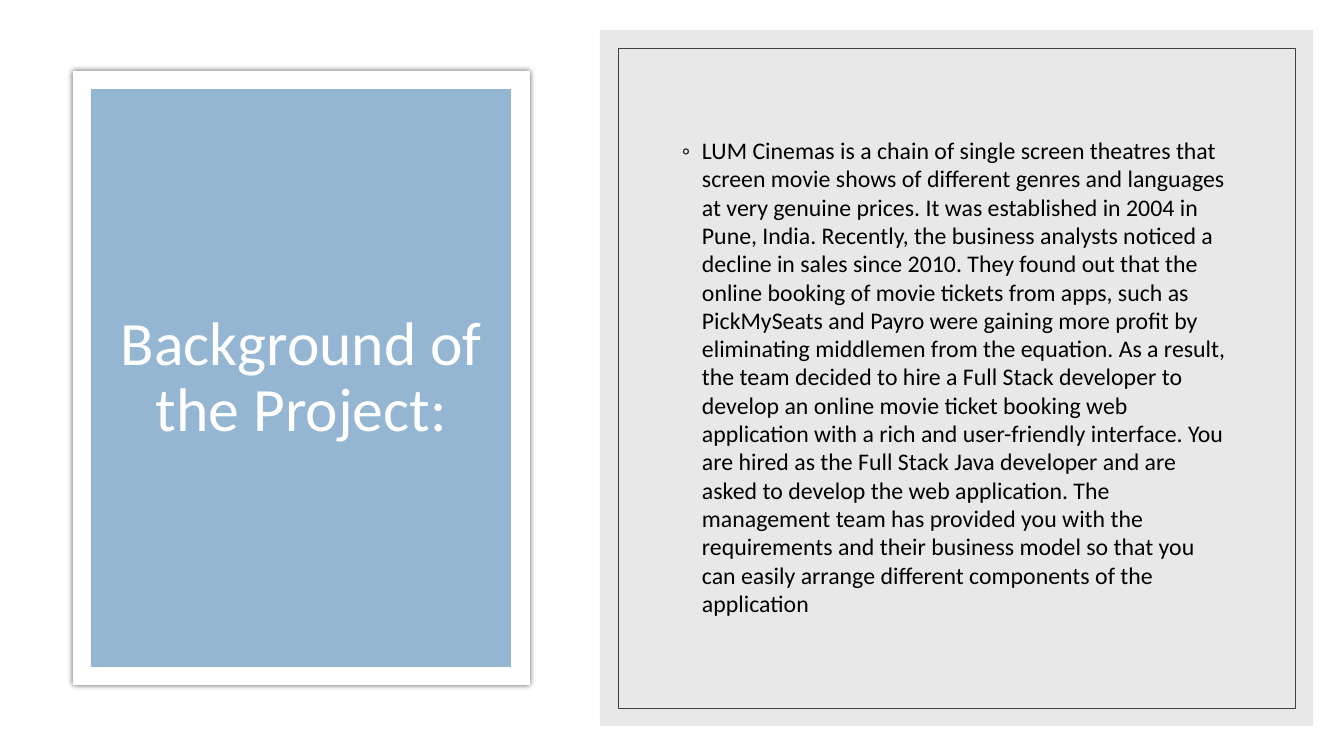
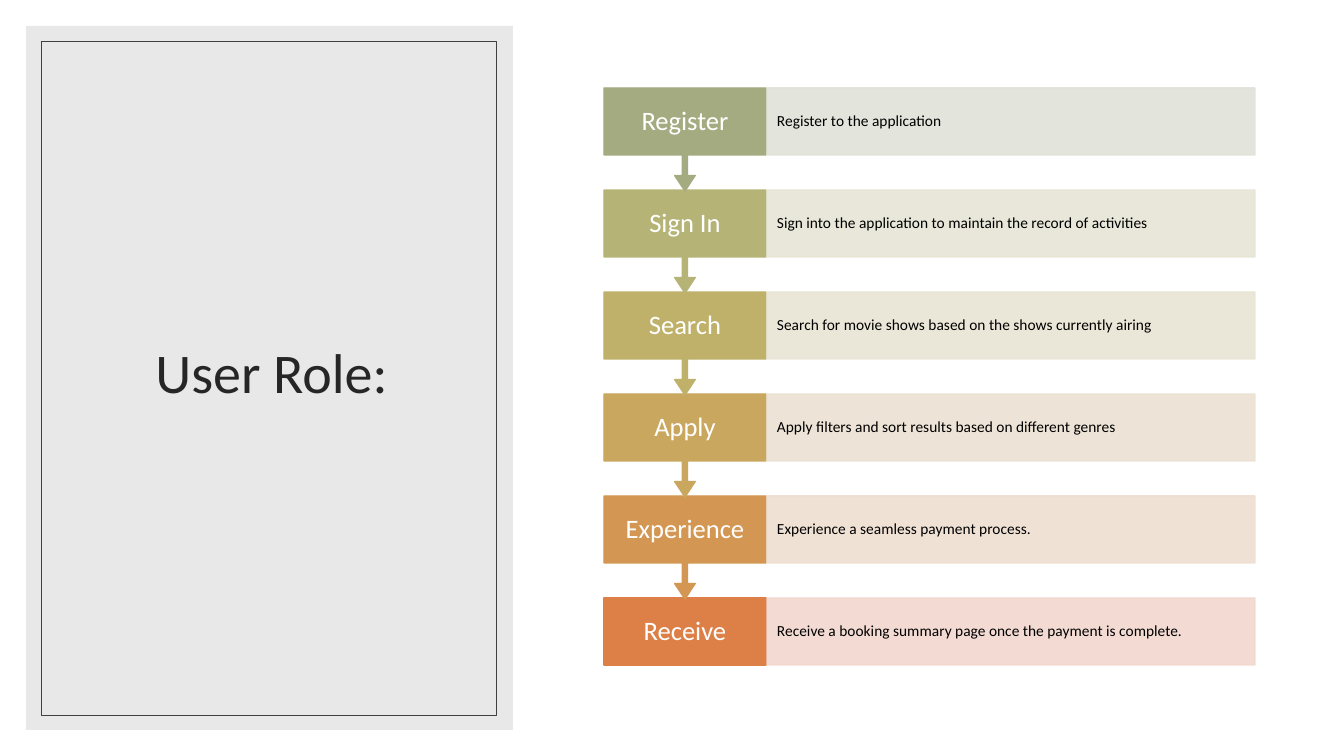
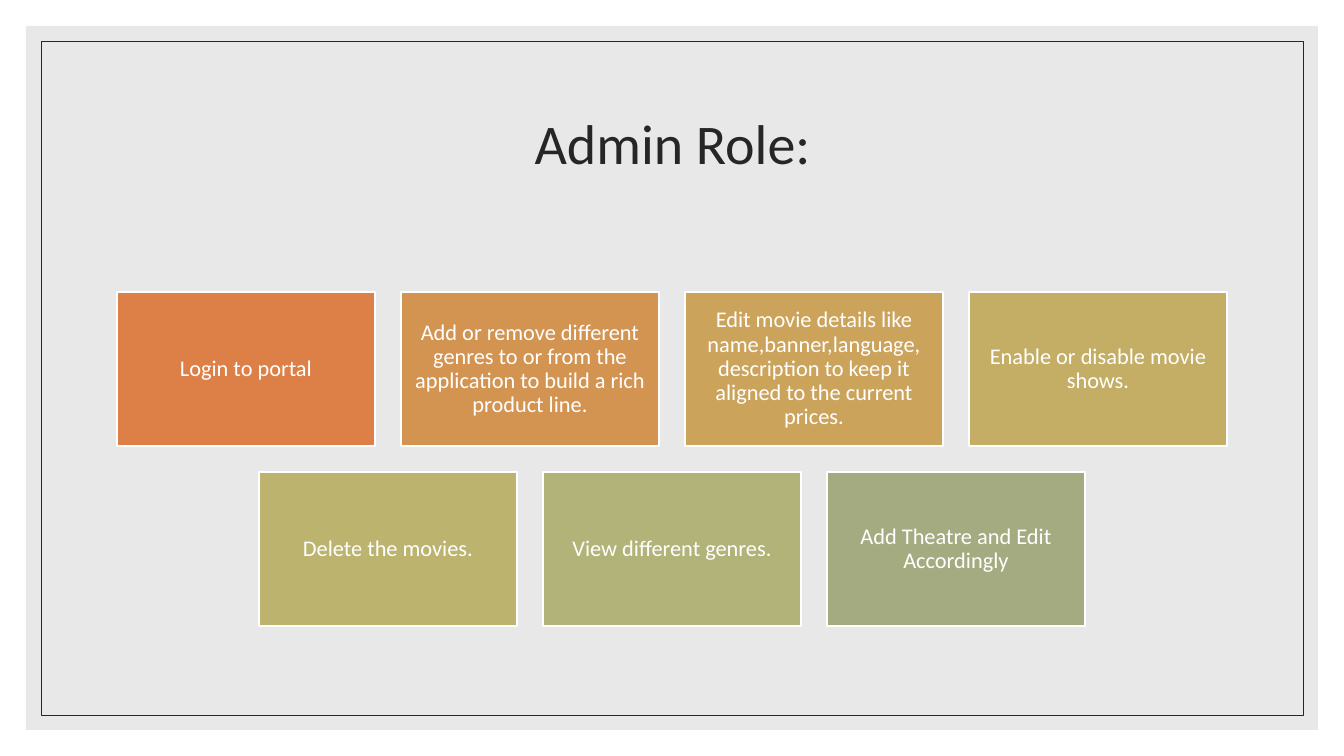
"""Build three slides on a cinema booking project: background, user role and admin role."""
from lxml import etree
from pptx import Presentation
from pptx import util as u
from pptx.dml.color import RGBColor
from pptx.enum import shapes, text
from pptx.oxml.ns import qn

SCALE = 12192000 / 1344
FONT = "Calibri"
COLORS = {
    "white": "FFFFFF", "black": "000000", "ink": "262626", "outline": "404040",
    "panel": "D9D9D9", "blue": "94B6D2",
}
MIDDLE = text.MSO_ANCHOR.MIDDLE
CENTER = {"alignment": text.PP_ALIGN.CENTER, "line_spacing": 0.9}
LEFT = {"alignment": text.PP_ALIGN.LEFT, "line_spacing": 0.9}


def add_box(slide, place, fill=None, line=None, weight=0.5, alpha=100, kind=shapes.MSO_SHAPE.RECTANGLE):
    shape = slide.shapes.add_shape(kind, *[round(value * SCALE) for value in place])
    shape.shadow.inherit = False
    if fill:
        shape.fill.solid()
        shape.fill.fore_color.rgb = RGBColor.from_string(fill)
    else:
        shape.fill.background()
    if line:
        shape.line.color.rgb = RGBColor.from_string(line)
        shape.line.width = u.Pt(weight)
    else:
        shape.line.fill.background()
    if alpha < 100:
        for color in shape.element.spPr.iter(qn("a:srgbClr")):
            etree.SubElement(color, qn("a:alpha"), val=str(alpha * 1000))
    return shape


def write(shape, content, size, color, paragraph_format, insets=(10, 5)):
    frame = shape.text_frame
    across, down = [round(value * SCALE) for value in insets]
    frame_format = {
        "word_wrap": True, "vertical_anchor": MIDDLE,
        "margin_left": across, "margin_right": across, "margin_top": down, "margin_bottom": down,
    }
    for name, value in frame_format.items():
        setattr(frame, name, value)
    paragraph = frame.paragraphs[0]
    for name, value in paragraph_format.items():
        setattr(paragraph, name, value)
    run = paragraph.add_run()
    run.text = content
    for name, value in {"name": FONT, "size": u.Pt(size)}.items():
        setattr(run.font, name, value)
    run.font.color.rgb = RGBColor.from_string(color)
    return paragraph


presentation = Presentation()
presentation.slide_width = round(1344 * SCALE)
presentation.slide_height = round(756 * SCALE)

PAGES = [
    {"title": "Background of the Project:", "place": (109, 131, 385, 495), "size": 44, "color": "white",
     "panel": (600, 30, 713, 696), "frame": (618, 48, 677, 660), "line": "outline"},
    {"title": "User Role:", "place": (64, 61, 415, 629), "size": 40, "color": "ink",
     "panel": (26, 26, 487, 704), "frame": (41, 41, 455, 674), "line": "outline"},
    {"title": "Admin Role:", "place": (118, 71, 1109, 151), "size": 40, "color": "ink",
     "panel": (26, 26, 1292, 704), "frame": (41, 41, 1262, 674), "line": "ink"},
]
slides = []
for page in PAGES:
    slide = presentation.slides.add_slide(presentation.slide_layouts[6])
    add_box(slide, page["panel"], COLORS["panel"], alpha=60)
    add_box(slide, page["frame"], line=COLORS[page["line"]])
    if page["color"] == "white":
        card = add_box(slide, (73, 71, 457, 614), COLORS["white"])
        effects = card.element.spPr.find(qn("a:effectLst"))
        shadow = etree.SubElement(effects, qn("a:outerShdw"), blurRad=str(u.Pt(4)), dist="0", dir="0")
        shadow_color = etree.SubElement(shadow, qn("a:srgbClr"), val=COLORS["black"])
        etree.SubElement(shadow_color, qn("a:alpha"), val="66000")
        add_box(slide, (91, 89, 420, 578), COLORS["blue"])
    title = slide.shapes.add_textbox(*[round(value * SCALE) for value in page["place"]])
    write(title, page["title"], page["size"], COLORS[page["color"]], CENTER)
    slides.append(slide)
background, user_role, admin_role = slides

STORY = [
    "LUM Cinemas is a chain of single screen theatres that screen movie shows of different genres and "
    "languages at very genuine prices.",
    "It was established in 2004 in Pune, India.",
    "Recently, the business analysts noticed a decline in sales since 2010.",
    "They found out that the online booking of movie tickets from apps, such as PickMySeats and Payro "
    "were gaining more profit by eliminating middlemen from the equation.",
    "As a result, the team decided to hire a Full Stack developer to develop an online movie ticket "
    "booking web application with a rich and user-friendly interface.",
    "You are hired as the Full Stack Java developer and are asked to develop the web application.",
    "The management team has provided you with the requirements and their business model so that you "
    "can easily arrange different components of the application",
]
body = background.shapes.add_textbox(*[round(value * SCALE) for value in (672, 103, 571, 549)])
paragraph = write(body, " ".join(STORY), 17, COLORS["black"], {"line_spacing": 0.99})
properties = paragraph._p.get_or_add_pPr()
indent = round(20 * SCALE)
properties.set("marL", str(indent))
properties.set("indent", str(-indent))
bullet_color = etree.SubElement(properties, qn("a:buClr"))
etree.SubElement(bullet_color, qn("a:srgbClr"), val=COLORS["ink"])
etree.SubElement(properties, qn("a:buFont"), typeface=FONT)
etree.SubElement(properties, qn("a:buChar"), char="◦")

STEPS = [
    ("Register", "Register to the application", "A5AB81", "E1E2D8"),
    ("Sign In", "Sign into the application to maintain the record of activities", "B5B476", "E6E5D6"),
    ("Search", "Search for movie shows based on the shows currently airing", "BFB16A", "E9E5D4"),
    ("Apply", "Apply filters and sort results based on different genres", "C9A75F", "ECE2D3"),
    ("Experience", "Experience a seamless payment process.", "D39753", "EFDED1"),
    ("Receive", "Receive a booking summary page once the payment is complete.", "DD8047", "F2D8CF"),
]
for index, (label, detail, dark, light) in reversed(list(enumerate(STEPS))):
    top = 88 + 102 * index
    if index == len(STEPS) - 1:
        step = add_box(user_role, (604, top, 162, 67), dark, dark, 1)
    else:
        step = add_box(user_role, (604, top, 162, 103), dark, dark, 1, kind=shapes.MSO_SHAPE.DOWN_ARROW_CALLOUT)
        for position, value in enumerate((0.05, 0.1, 0.15, 0.65)):
            step.adjustments[position] = value
    write(step, label, 19, COLORS["white"], CENTER, (11, 15))
    strip = add_box(user_role, (767, top, 488, 67), light, light, 1, 90)
    write(strip, detail, 11, COLORS["black"], LEFT, (10, 15))

TILE_ROWS = [
    [("Login to portal", "DD8047"),
     ("Add or remove different genres to or from the application to build a rich product line.", "D49451"),
     ("Edit movie details like name,banner,language, description to keep it aligned to the current prices.", "CCA35B"),
     ("Enable or disable movie shows.", "C4AD64")],
    [("Delete the movies.", "BBB36E"),
     ("View different genres.", "B2B378"),
     ("Add Theatre and Edit Accordingly", "A5AB81")],
]
WIDTH, HEIGHT, GAP = 258, 154, 26
for row, tiles in enumerate(TILE_ROWS):
    start = 672 - (len(tiles) * (WIDTH + GAP) - GAP) // 2
    for column, (content, color) in enumerate(tiles):
        place = (start + column * (WIDTH + GAP), 292 + row * (HEIGHT + GAP), WIDTH, HEIGHT)
        tile = add_box(admin_role, place, color, COLORS["white"], 1.5)
        write(tile, content, 16, COLORS["white"], CENTER, (7, 7))

presentation.save("out.pptx")
